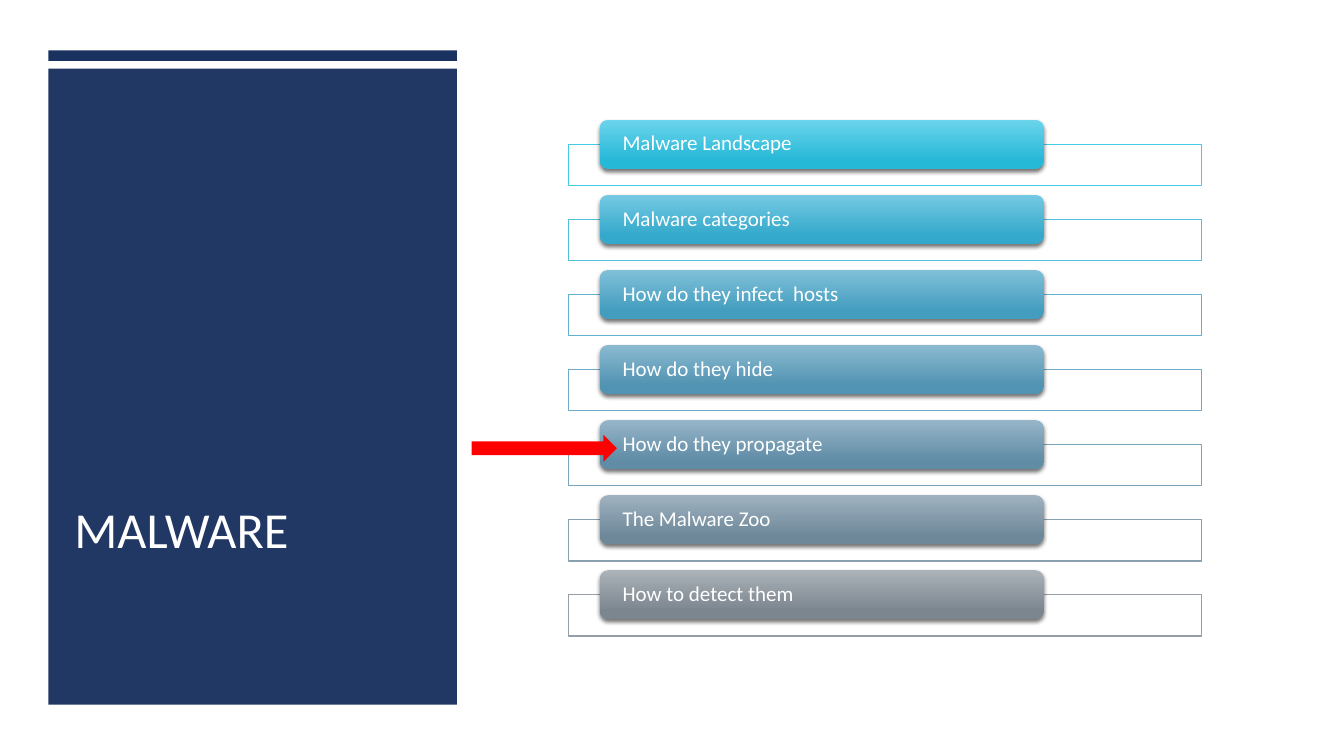
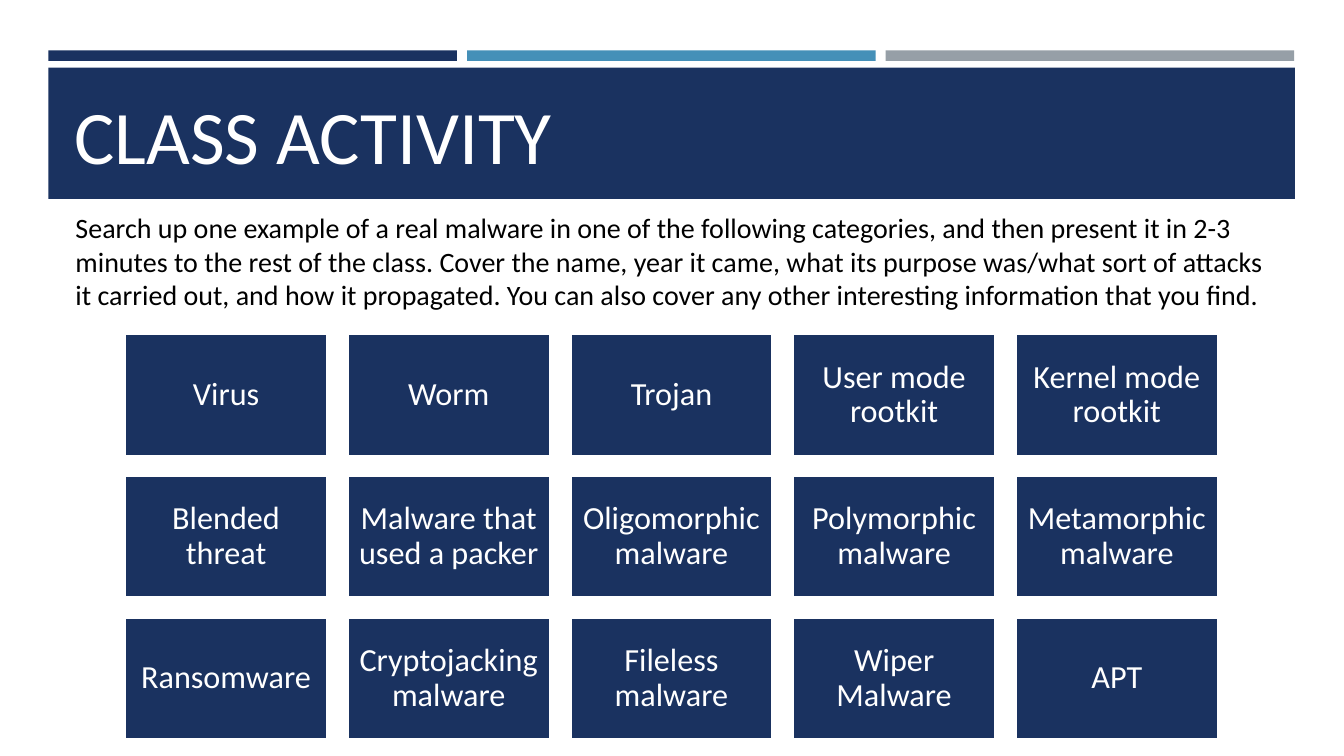
from lxml.etree import SubElement
from pptx import Presentation
from pptx.dml.color import RGBColor
from pptx.enum.shapes import MSO_SHAPE
from pptx.enum.text import MSO_ANCHOR, PP_ALIGN
from pptx.oxml.ns import qn
from pptx.util import Inches, Pt

NAVY = RGBColor(0x1A, 0x32, 0x60)
BLUE = RGBColor(0x45, 0x90, 0xB8)
GREY = RGBColor(0x96, 0x9F, 0xA7)
WHITE = RGBColor(0xFF, 0xFF, 0xFF)
BLACK = RGBColor(0x00, 0x00, 0x00)
RED = RGBColor(0xFF, 0x00, 0x00)

# Topic, frame line, top and bottom of the label's gradient
TOPICS = [
    ("Malware Landscape", RGBColor(0x45, 0xCB, 0xE8),
     RGBColor(0x6B, 0xD4, 0xEC), RGBColor(0x26, 0xB8, 0xD7)),
    ("Malware categories", RGBColor(0x53, 0xBD, 0xDC),
     RGBColor(0x75, 0xC9, 0xE3), RGBColor(0x34, 0xA9, 0xCB)),
    ("How do they infect  hosts", RGBColor(0x61, 0xB2, 0xD1),
     RGBColor(0x80, 0xC0, 0xD9), RGBColor(0x43, 0x9D, 0xBF)),
    ("How do they hide", RGBColor(0x6F, 0xAA, 0xC6),
     RGBColor(0x8B, 0xBA, 0xD0), RGBColor(0x51, 0x93, 0xB2)),
    ("How do they propagate", RGBColor(0x7C, 0xA4, 0xBB),
     RGBColor(0x96, 0xB5, 0xC8), RGBColor(0x60, 0x8C, 0xA6)),
    ("The Malware Zoo", RGBColor(0x89, 0xA0, 0xB1),
     RGBColor(0xA0, 0xB2, 0xC0), RGBColor(0x6E, 0x88, 0x9A)),
    ("How to detect them", GREY,
     RGBColor(0xAB, 0xB2, 0xB8), RGBColor(0x7C, 0x86, 0x8F)),
]

CATEGORIES = [
    ["Virus", "Worm", "Trojan", "User mode rootkit", "Kernel mode rootkit"],
    ["Blended threat", "Malware that used a packer", "Oligomorphic malware",
     "Polymorphic malware", "Metamorphic malware"],
    ["Ransomware", "Cryptojacking malware", "Fileless malware",
     "Wiper Malware", "APT"],
]

TASK = ("Search up one example of a real malware in one of the following "
        "categories, and then present it in 2-3 minutes to the rest of the "
        "class. Cover the name, year it came, what its purpose was/what sort "
        "of attacks it carried out, and how it propagated. You can also cover "
        "any other interesting information that you find.")


def set_all(target, values):
    for name, value in values.items():
        setattr(target, name, value)


class Deck:
    """Holds the style and the current slide; places are percent of the slide."""

    FONT = "Calibri"
    LEFT, BAND_TOP = 3.6, 6.67
    BAND_WIDTH, BAND_HEIGHT, BAND_STEP = 30.4, 1.4, 31.15

    def __init__(self):
        self.prs = Presentation()
        set_all(self.prs, {"slide_width": Inches(13.333),
                           "slide_height": Inches(7.5)})
        self.slide = None

    def new_slide(self):
        self.slide = self.prs.slides.add_slide(self.prs.slide_layouts[6])

    def place(self, left, top, width, height):
        across, down = self.prs.slide_width / 100, self.prs.slide_height / 100
        return (round(left * across), round(top * down),
                round(width * across), round(height * down))

    def box(self, at, fill, line=None, line_width=1, preset=MSO_SHAPE.RECTANGLE):
        shape = self.slide.shapes.add_shape(preset, *self.place(*at))
        shape.shadow.inherit = False
        if fill is not None:
            shape.fill.solid()
            shape.fill.fore_color.rgb = fill
        if line is None:
            shape.line.fill.background()
        else:
            shape.line.color.rgb = line
            shape.line.width = Pt(line_width)
        return shape

    def set_text(self, shape, text, size, color=WHITE, align=PP_ALIGN.LEFT,
                 spacing=1.0, **frame_format):
        frame = shape.text_frame
        set_all(frame, {"word_wrap": True, **frame_format})
        paragraph = frame.paragraphs[0]
        paragraph.text = text
        set_all(paragraph, {"alignment": align, "line_spacing": spacing})
        set_all(paragraph.font, {"name": self.FONT, "size": Pt(size)})
        paragraph.font.color.rgb = color

    def text(self, at, text, size, **style):
        self.set_text(self.slide.shapes.add_textbox(*self.place(*at)),
                      text, size, **style)

    def bands(self, *colors):
        for column, color in enumerate(colors):
            self.box((self.LEFT + column * self.BAND_STEP, self.BAND_TOP,
                      self.BAND_WIDTH, self.BAND_HEIGHT), color)

    def panel(self, top, width, height, opacity=100):
        shape = self.box((self.LEFT, top, width, height), NAVY)
        if opacity < 100:
            color = shape._element.spPr.find(f".//{qn('a:srgbClr')}")
            SubElement(color, qn("a:alpha"), val=str(opacity * 1000))

    def pill(self, at, text, upper, lower):
        """Rounded label with a vertical gradient and a soft shadow."""
        shape = self.box(at, None, preset=MSO_SHAPE.ROUNDED_RECTANGLE)
        shape.fill.gradient()
        shape.fill.gradient_angle = 270
        for stop, position, color in zip(shape.fill.gradient_stops,
                                         (0, 0.84), (upper, lower)):
            stop.position = position
            stop.color.rgb = color
        effects = shape._element.spPr.find(qn("a:effectLst"))
        shadow = SubElement(effects, qn("a:outerShdw"), blurRad=str(Pt(3)),
                            dist=str(Pt(2)), dir="5400000", rotWithShape="0")
        color = SubElement(shadow, qn("a:srgbClr"), val=str(BLACK))
        SubElement(color, qn("a:alpha"), val="55000")
        self.set_text(shape, text, 15, spacing=0.9,
                      vertical_anchor=MSO_ANCHOR.MIDDLE,
                      margin_left=Inches(0.2), margin_right=Inches(0.2),
                      margin_top=0, margin_bottom=0)

    def tile(self, at, text):
        inset = Inches(0.1)
        self.set_text(self.box(at, NAVY, WHITE, 1.75), text, 23,
                      align=PP_ALIGN.CENTER, spacing=0.9,
                      vertical_anchor=MSO_ANCHOR.MIDDLE, margin_left=inset,
                      margin_right=inset, margin_top=inset, margin_bottom=inset)


def agenda(deck):
    deck.new_slide()
    deck.panel(9.07, deck.BAND_WIDTH, 84.13, opacity=97)
    deck.bands(NAVY)
    deck.text((4.8, 31.2, 28, 43.33), "MALWARE", 36,
              vertical_anchor=MSO_ANCHOR.BOTTOM)
    row_step = 9.93
    for row, (topic, line, upper, lower) in enumerate(TOPICS):
        drop = row * row_step
        deck.box((42.3, 19.1 + drop, 47.1, 5.45), WHITE, line)
        deck.pill((44.65, 15.85 + drop, 33, 6.45), topic, upper, lower)
    deck.box((35.1, 57.5, 10.8, 3.6), RED, preset=MSO_SHAPE.RIGHT_ARROW)


def class_activity(deck):
    deck.new_slide()
    deck.bands(NAVY, BLUE, GREY)
    deck.panel(8.95, 92.75, 17.35)
    deck.text((4.8, 10.3, 90.45, 14.8), "CLASS ACTIVITY", 54,
              vertical_anchor=MSO_ANCHOR.MIDDLE)
    column_step, row_step = 16.57, 18.75
    for row, names in enumerate(CATEGORIES):
        for column, name in enumerate(names):
            deck.tile((9.3 + column * column_step, 44.2 + row * row_step,
                       15.05, 16.1), name)
    deck.text((4.88, 27.2, 90.45, 14.8), TASK, 20, color=BLACK)


def main():
    deck = Deck()
    agenda(deck)
    class_activity(deck)
    deck.prs.save("out.pptx")


if __name__ == "__main__":
    main()
